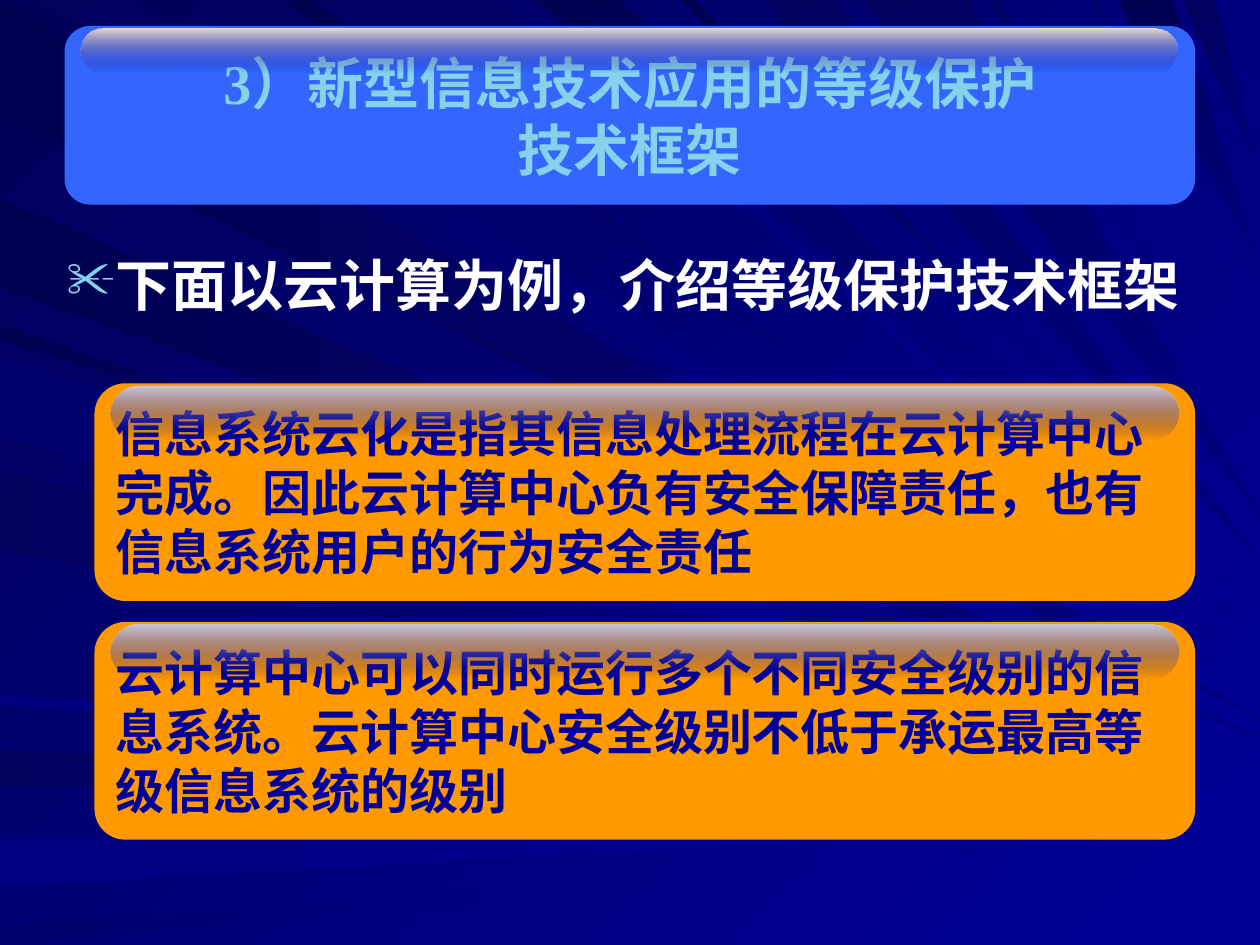
from lxml import etree
from pptx import Presentation
from pptx.dml.color import RGBColor
from pptx.enum.shapes import MSO_SHAPE
from pptx.enum.text import MSO_ANCHOR, PP_ALIGN
from pptx.oxml.ns import qn
from pptx.util import Pt

ROUNDED = MSO_SHAPE.ROUNDED_RECTANGLE
MIDDLE, TOP = MSO_ANCHOR.MIDDLE, MSO_ANCHOR.TOP
CENTER, LEFT = PP_ALIGN.CENTER, PP_ALIGN.LEFT
SANS, SERIF = "Arial", "Times New Roman"
NAVY, SKY, ORANGE, BLUE, WHITE = "000099", "86D1EC", "FF9900", "3366FF", "FFFFFF"
DEEP, DARK, MEDIUM, SOFT = "000051", "00005D", "00006F", "000080"
WIDTH, HEIGHT = 720, 540

# Rays run from the left or top edge to a tip on the right edge:
# near upper side, near lower side, tip, first colour, last colour
LEFT_RAYS = [
    (1, 67, 410, DEEP, SOFT),
    (429, 449, 455, DARK, NAVY),
    (479, 507, 466, SOFT, NAVY),
    (529, 540, 477, MEDIUM, NAVY),
    (186, 194, 424, DEEP, NAVY),
    (114, 164, 421, DEEP, SOFT),
    (269, 315, 436, DARK, NAVY),
    (397, 403, 448, SOFT, NAVY),
    (204, 250, 435, MEDIUM, NAVY),
]
TOP_RAYS = [
    (73, 19, 405, DARK, NAVY),
    (300, 287, 373, MEDIUM, NAVY),
    (354, 307, 355, DEEP, NAVY),
    (397, 389, 333, DEEP, NAVY),
    (476, 436, 321, DARK, SOFT),
    (670, 639, 151, DEEP, SOFT),
    (694, 676, 101, DARK, SOFT),
    (178, 162, 396, DEEP, NAVY),
    (554, 494, 295, DARK, SOFT),
    (570, 565, 257, DARK, NAVY),
    (628, 623, 183, MEDIUM, NAVY),
]

TITLE = [
    [("3）", SERIF), ("新型信息技术应用的", SANS), ("等级保护", SERIF)],
    [("技术框架", SERIF)],
]
LEAD = "下面以云计算为例，介绍等级保护技术框架"
CARDS = [
    "信息系统云化是指其信息处理流程在云计算中心完成。因此云计算中心负有安全保障责任，也有信息系统用户的行为安全责任",
    "云计算中心可以同时运行多个不同安全级别的信息系统。云计算中心安全级别不低于承运最高等级信息系统的级别",
]


def color(hex_value):
    return RGBColor.from_string(hex_value)


def apply_format(target, values):
    for name, value in values.items():
        setattr(target, name, value)


def paint(fill, first, last=None, angle=0):
    """Fill with one colour, or with a gradient at a clockwise angle."""
    if last is None:
        fill.solid()
        fill.fore_color.rgb = color(first)
        return
    fill.gradient()
    fill.gradient_angle = (360 - angle) % 360
    for stop, hex_value in zip(fill.gradient_stops, (first, last)):
        stop.color.rgb = color(hex_value)


def clean(shape):
    shape.shadow.inherit = False
    shape.line.fill.background()


def add_ray(slide, upper, lower, tip, first, last, angle):
    builder = slide.shapes.build_freeform(*upper, scale=Pt(1))
    builder.add_line_segments([lower, (WIDTH, tip)], close=True)
    ray = builder.convert_to_shape()
    clean(ray)
    paint(ray.fill, first, last, angle)


def add_background(slide):
    paint(slide.background.fill, "000058", NAVY, 45)
    for upper, lower, *style in LEFT_RAYS:
        add_ray(slide, (0, upper), (0, lower), *style, 0)
    for upper, lower, *style in TOP_RAYS:
        add_ray(slide, (upper, 0), (lower, 0), *style, 45)


def add_rounded(slide, box, corner, *colors):
    shape = slide.shapes.add_shape(ROUNDED, *map(Pt, box))
    shape.adjustments[0] = corner
    clean(shape)
    paint(shape.fill, *colors)
    return shape


def add_gloss(slide, box, tint):
    """Highlight that fades out downwards."""
    gloss = add_rounded(slide, box, 0.5, tint, SOFT, 90)
    last_color = gloss.element.xpath("./p:spPr/a:gradFill//a:srgbClr")[-1]
    etree.SubElement(last_color, qn("a:alpha"), val="0")


def write(shape, paragraphs, size, hex_value, anchor=MIDDLE, align=LEFT, before=0):
    frame = shape.text_frame
    apply_format(frame, {"word_wrap": True, "vertical_anchor": anchor})
    for index, runs in enumerate(paragraphs):
        paragraph = frame.add_paragraph() if index else frame.paragraphs[0]
        apply_format(paragraph, {"alignment": align, "space_before": Pt(before)})
        for text, font_name in runs:
            run = paragraph.add_run()
            run.text = text
            apply_format(run.font, {"name": font_name, "size": Pt(size), "bold": True})
            run.font.color.rgb = color(hex_value)


def add_bullet(paragraph, character, hex_value, percent, indent):
    properties = paragraph._p.get_or_add_pPr()
    properties.set("marL", str(Pt(indent)))
    properties.set("indent", str(-Pt(indent)))
    bullet_color = etree.SubElement(properties, qn("a:buClr"))
    etree.SubElement(bullet_color, qn("a:srgbClr"), val=hex_value)
    etree.SubElement(properties, qn("a:buSzPct"), val=str(percent * 1000))
    etree.SubElement(properties, qn("a:buChar"), char=character)


def main():
    presentation = Presentation()
    presentation.slide_width, presentation.slide_height = Pt(WIDTH), Pt(HEIGHT)
    slide = presentation.slides.add_slide(presentation.slide_layouts[6])
    add_background(slide)

    # Lead sentence
    lead = slide.shapes.add_textbox(Pt(31), Pt(139.7), Pt(663), Pt(56.9))
    write(lead, [[(LEAD, SANS)]], 32, WHITE, anchor=TOP, before=8)
    add_bullet(lead.text_frame.paragraphs[0], "✂", SKY, 90, 27)

    # Title
    title = add_rounded(slide, (36.9, 14.9, 646, 102), 0.142, BLUE)
    write(title, TITLE, 32, SKY, align=CENTER)
    add_gloss(slide, (46, 16.3, 626.7, 25.3), "F1DAC6")

    # Cards
    for index, text in enumerate(CARDS):
        top = 219 + index * 136.4
        card = add_rounded(slide, (54, top, 629, 124.4), 0.142, ORANGE)
        write(card, [[(text, SERIF)]], 28, NAVY, before=7)
        add_gloss(slide, (62.9, top + 1.7, 610.7, 30.5), "C6C6E3")

    presentation.save("out.pptx")


if __name__ == "__main__":
    main()
